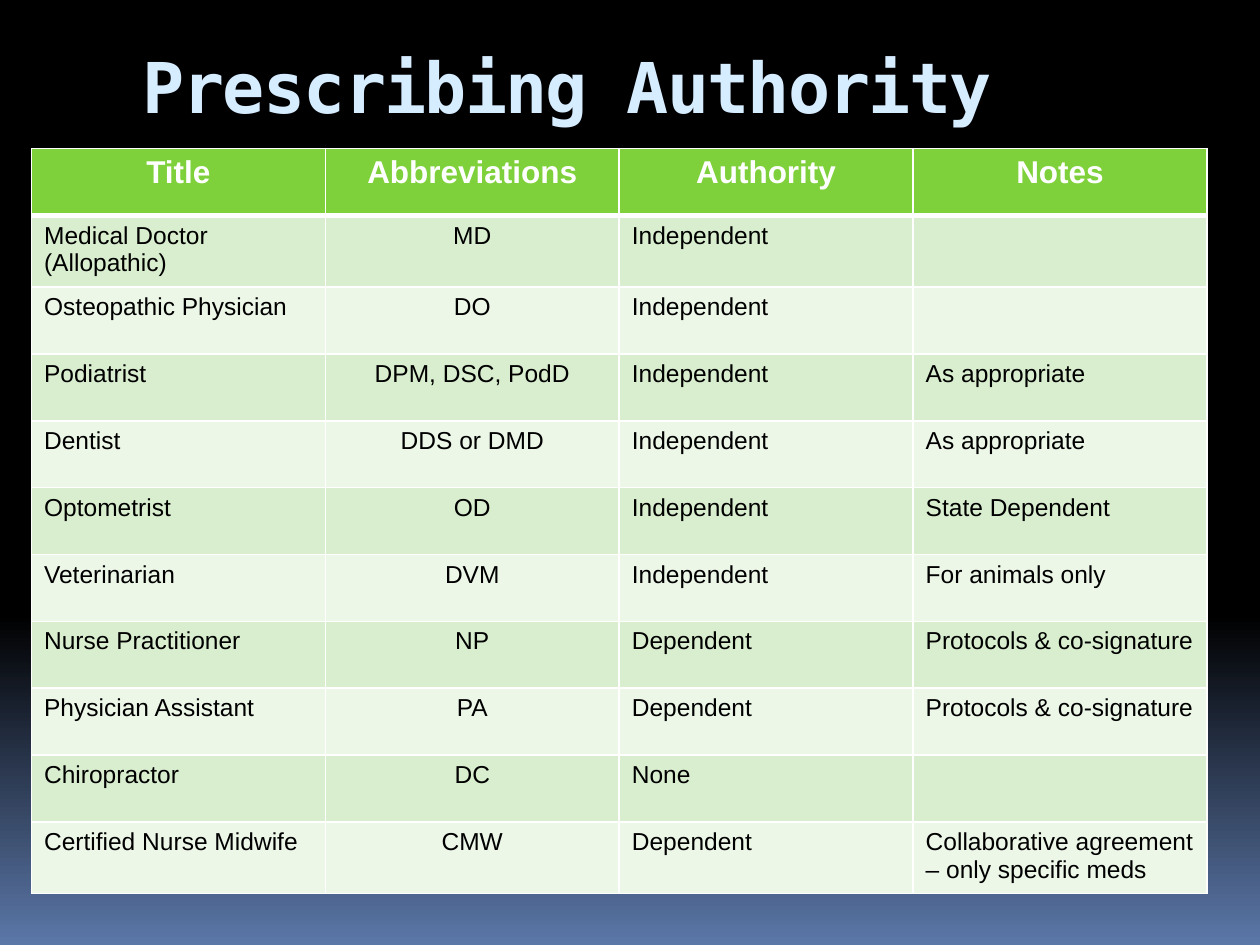
from lxml import etree
from pptx import Presentation, util as u
from pptx.dml.color import RGBColor
from pptx.enum import text
from pptx.oxml import ns

HUES = {"black": "000000", "blue": "5B77A8", "sky": "D6ECFF", "white": "FFFFFF",
        "head": "7FD13B", "odd": "D8EECE", "even": "ECF7E8"}
ROWS = [
    ("Title", "Abbreviations", "Authority", "Notes"),
    ("Medical Doctor (Allopathic)", "MD", "Independent ", ""),
    ("Osteopathic Physician", "DO", "Independent ", ""),
    ("Podiatrist", "DPM, DSC, PodD", "Independent ", "As appropriate"),
    ("Dentist", "DDS or DMD", "Independent", "As appropriate"),
    ("Optometrist", "OD", "Independent", "State Dependent"),
    ("Veterinarian", "DVM", "Independent", "For animals only"),
    ("Nurse Practitioner", "NP", "Dependent", "Protocols & co-signature"),
    ("Physician Assistant", "PA", "Dependent", "Protocols & co-signature"),
    ("Chiropractor", "DC", "None", ""),
    ("Certified Nurse Midwife", "CMW", "Dependent",
     "Collaborative agreement \u2013 only specific meds"),
]


def hue(name):
    """Return the named colour."""
    return RGBColor.from_string(HUES[name])


def style(para, face, size, color, bold, center):
    """Format a paragraph and its runs."""
    para.alignment = text.PP_ALIGN.CENTER if center else text.PP_ALIGN.LEFT
    for run in para.runs:
        font = run.font
        font.name, font.size, font.bold = face, u.Pt(size), bold
        font.color.rgb = hue(color)


def edge(cell, widths):
    """Draw white cell borders; widths maps sides to points."""
    props = cell._tc.get_or_add_tcPr()
    for spot, (side, width) in enumerate(widths.items()):
        line = etree.Element(ns.qn("a:ln" + side), w=str(u.Pt(width)))
        fill = etree.SubElement(line, ns.qn("a:solidFill"))
        etree.SubElement(fill, ns.qn("a:srgbClr"), val=HUES["white"])
        props.insert(spot, line)


def back(slide):
    """Fill the background, black fading to blue at the foot."""
    fill = slide.background.fill
    fill.gradient()
    fill.gradient_angle = 270
    for stop, place, name in zip(fill.gradient_stops, (0.65, 1), ("black", "blue")):
        stop.position = place
        stop.color.rgb = hue(name)


def title(slide, box, words):
    """Place the heading in the box."""
    frame = slide.shapes.add_textbox(*map(u.Inches, box)).text_frame
    frame.word_wrap = True
    frame.vertical_anchor = text.MSO_ANCHOR.TOP
    frame.text = words
    para = frame.paragraphs[0]
    style(para, "DejaVu Sans Mono", 40, "sky", True, True)
    para.runs[0].font._element.set("spc", "-100")


def grid(slide, box, rows):
    """Fill the box with a table of equal rows and columns."""
    table = slide.shapes.add_table(len(rows), len(rows[0]), *map(u.Inches, box)).table
    for r, row in enumerate(rows):
        top = r == 0
        for c, words in enumerate(row):
            cell = table.cell(r, c)
            cell.fill.solid()
            cell.fill.fore_color.rgb = hue("head" if top else "odd" if r % 2 else "even")
            edge(cell, {"L": 1, "R": 1, "T": 3 if r == 1 else 1, "B": 3 if top else 1})
            cell.text_frame.text = words
            style(cell.text_frame.paragraphs[0], "Arial", 18 if top else 14,
                  "white" if top else "black", top, top or c == 1)


deck = Presentation()
deck.slide_width, deck.slide_height = u.Inches(10), u.Inches(7.5)
page = deck.slides.add_slide(deck.slide_layouts[6])
back(page)
title(page, (0, 0.3, 9, 1.25), "Prescribing Authority")
grid(page, (0.25, 1.18, 9.33, 5.84), ROWS)
deck.save("out.pptx")
